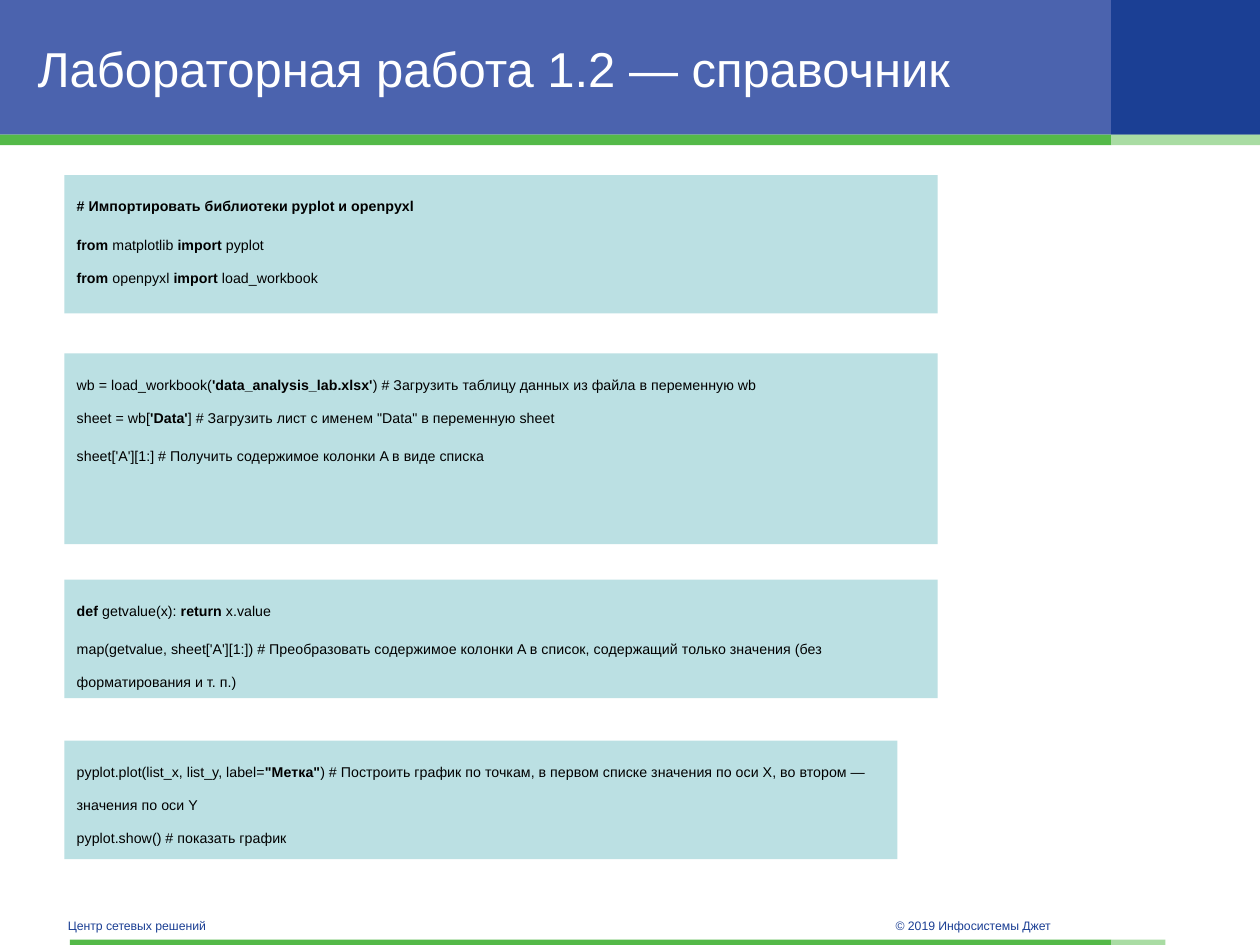
from pptx import Presentation
from pptx.dml.color import RGBColor
from pptx.enum import shapes, text
from pptx.util import Pt

THEME = dict(font="Arial", white="FFFFFF", black="000000", blue="4B63AE",
             navy="1B3F94", green="54B948", pale="A9DCA3", panel="BBE0E3",
             title=28, code=8.1, foot=7)

# Bars: left, top, width, height, colour
BARS = [
    (0, 0, 720, 77, "blue"),
    (635, 0, 85, 77, "navy"),
    (0, 77, 635, 6, "green"),
    (635, 77, 85, 6, "pale"),
    (40, 537, 595, 3, "green"),
    (635, 537, 31, 3, "pale"),
]

TITLE = "Лабораторная работа 1.2 — справочник"

# Footers: left, top, width, height, text
FOOTS = [
    (504.7, 517.7, 170, 14.4, "© 2019 Инфосистемы Джет"),
    (31.7, 516.6, 237.6, 16.6, "Центр сетевых решений"),
]

# Panels: top, width, height, paragraphs; ** toggles bold, \v breaks a line
LEFT = 36.8
PANELS = [
    (100.1, 499, 79, [
        "**# Импортировать библиотеки pyplot и openpyxl**",
        "**from **matplotlib **import **pyplot\v"
        "**from **openpyxl **import **load_workbook"]),
    (202, 499, 109, [
        "wb = load_workbook(**'data_analysis_lab.xlsx'**) "
        "# Загрузить таблицу данных из файла в переменную wb\v"
        "sheet = wb[**'Data'**] "
        "# Загрузить лист с именем \"Data\" в переменную sheet",
        "sheet['A'][1:] # Получить содержимое колонки A в виде списка"]),
    (331.2, 499, 67.8, [
        "**def **getvalue(x): **return **x.value",
        "map(getvalue, sheet['A'][1:]) # Преобразовать содержимое колонки A "
        "в список, содержащий только значения (без форматирования и т. п.)"]),
    (423.2, 476, 67.8, [
        "pyplot.plot(list_x, list_y, label=**\"Метка\"**) "
        "# Построить график по точкам, в первом списке значения по оси X, "
        "во втором — значения по оси Y\v"
        "pyplot.show() # показать график"]),
]


def color(name):
    return RGBColor.from_string(THEME[name])


def add_bar(slide, x, y, w, h, fill):
    bar = slide.shapes.add_shape(shapes.MSO_SHAPE.RECTANGLE,
                                 Pt(x), Pt(y), Pt(w), Pt(h))
    bar.shadow.inherit = False
    bar.fill.solid()
    bar.fill.fore_color.rgb = color(fill)
    bar.line.fill.background()
    return bar


def write(shape, paras, size, ink, anchor="MIDDLE", line=None, gap=0,
          wrap=True, top=3.6, bottom=3.6):
    """Fill a shape with paragraphs whose ** marks switch bold on and off."""
    frame = shape.text_frame
    frame.word_wrap = wrap
    frame.vertical_anchor = text.MSO_ANCHOR[anchor]
    frame.margin_top, frame.margin_bottom = Pt(top), Pt(bottom)
    for i, body in enumerate(paras):
        para = frame.add_paragraph() if i else frame.paragraphs[0]
        para.alignment = text.PP_ALIGN.LEFT
        para.space_before = Pt(gap if i else 0)
        if line:
            para.line_spacing = Pt(line)
        for j, part in enumerate(body.split("**")):
            for k, piece in enumerate(part.split("\v")):
                if k:
                    para.add_line_break()
                if not piece:
                    continue
                run = para.add_run()
                run.text = piece
                run.font.name = THEME["font"]
                run.font.size = Pt(THEME[size])
                run.font.bold = j % 2 == 1
                run.font.color.rgb = color(ink)


def add_label(slide, x, y, w, h, body, **style):
    box = slide.shapes.add_textbox(Pt(x), Pt(y), Pt(w), Pt(h))
    write(box, [body], **style)


def main():
    deck = Presentation()
    deck.slide_width, deck.slide_height = Pt(720), Pt(540)
    slide = deck.slides.add_slide(deck.slide_layouts[6])
    for bar in BARS:
        add_bar(slide, *bar)
    for foot in FOOTS:
        add_label(slide, *foot, size="foot", ink="navy", wrap=False,
                  top=8.4, bottom=0)
    add_label(slide, 14.4, 10, 607, 57, TITLE, size="title", ink="white")
    for y, w, h, paras in PANELS:
        panel = add_bar(slide, LEFT, y, w, h, "panel")
        write(panel, paras, "code", "black", anchor="TOP", line=19, gap=3)
    deck.save("out.pptx")


if __name__ == "__main__":
    main()
